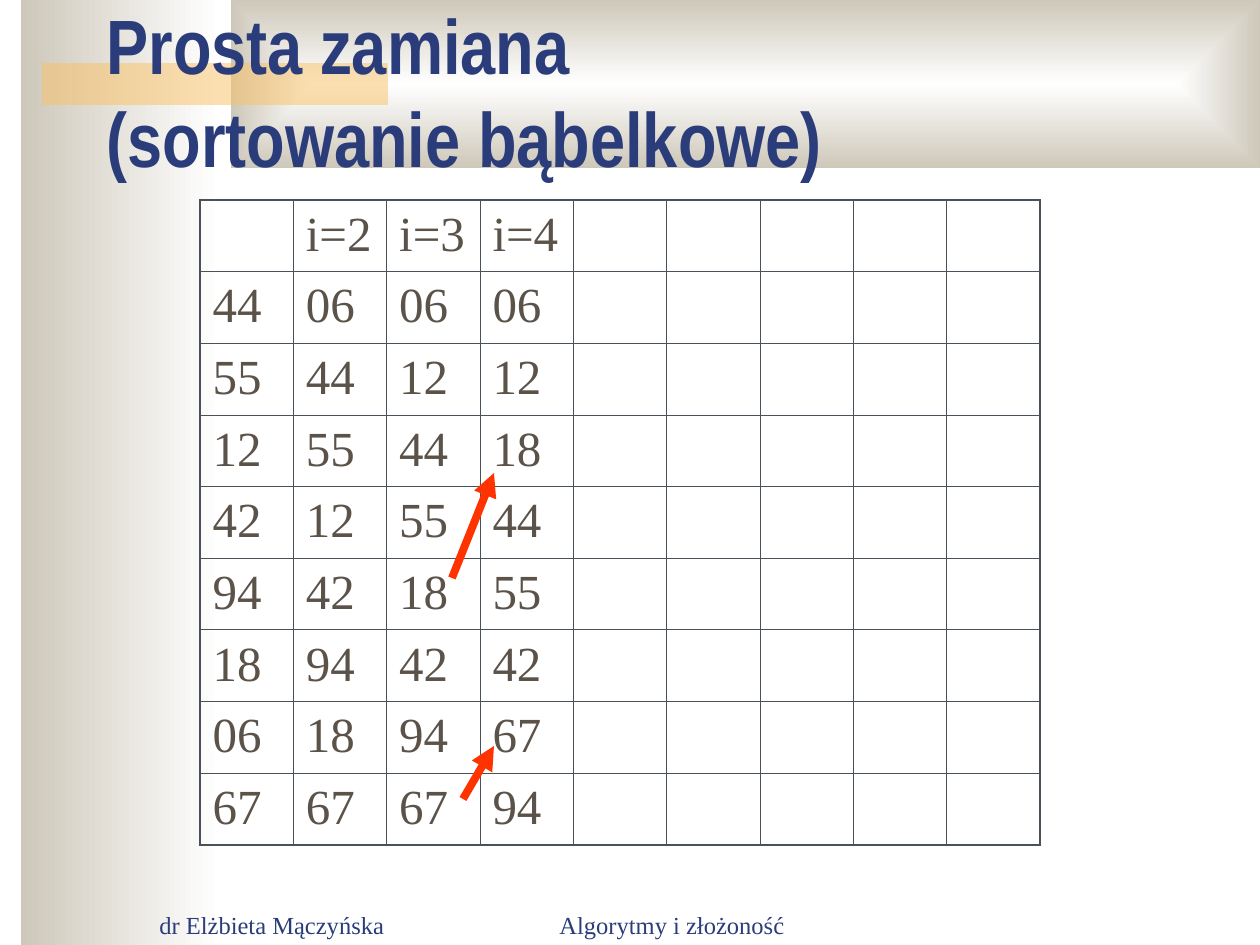
from lxml import etree
from pptx import Presentation
from pptx.dml.color import RGBColor
from pptx.enum.shapes import MSO_CONNECTOR as CONN, MSO_SHAPE as SHAPE
from pptx.enum.text import MSO_ANCHOR as ANCHOR, MSO_AUTO_SIZE as AUTO, PP_ALIGN as ALIGN
from pptx.oxml import parse_xml
from pptx.oxml.ns import nsdecls, qn
from pptx.util import Pt

SCALE = 914400 / 126
NAVY, BROWN, GRID, RED = "2A3D7A", "5B5249", "49525B", "FF3300"
WHITE, BEIGE, AMBER = "FFFFFF", "CEC8BA", "FAC164"
SERIF, NARROW = "Times New Roman", "Arial Narrow"

COLUMNS = [
    ["", "44", "55", "12", "42", "94", "18", "06", "67"],
    ["i=2", "06", "44", "55", "12", "42", "94", "18", "67"],
    ["i=3", "06", "12", "44", "55", "18", "42", "94", "67"],
    ["i=4", "06", "12", "18", "44", "55", "42", "67", "94"],
]
SIZE = 9


def px(*values):
    return [round(v * SCALE) for v in values]


def rgb(color):
    return RGBColor.from_string(color)


def add_run(p, text, size, font, color, bold=False):
    r = p.add_run()
    r.text = text
    r.font.size, r.font.name, r.font.bold = Pt(size), font, bold
    r.font.color.rgb = rgb(color)


def add_rect(s, box, color):
    sp = s.shapes.add_shape(SHAPE.RECTANGLE, *px(*box))
    sp.shadow.inherit = False
    sp.line.fill.background()
    sp.fill.solid()
    sp.fill.fore_color.rgb = rgb(color)
    return sp


def set_gradient(sp, direction):
    solid = sp._element.spPr.find(qn("a:solidFill"))
    solid.getparent().replace(solid, parse_xml(
        f'<a:gradFill {nsdecls("a")} rotWithShape="1"><a:gsLst>'
        f'<a:gs pos="0"><a:srgbClr val="{WHITE}"/></a:gs>'
        f'<a:gs pos="100000"><a:srgbClr val="{BEIGE}"/></a:gs>'
        f'</a:gsLst>{direction}</a:gradFill>'))


def add_background(s, x, y, w, h):
    side = add_rect(s, (x + 21, y, 199, h), BEIGE)
    set_gradient(side, '<a:lin ang="10800000" scaled="1"/>')
    top = add_rect(s, (x + 231, y, w - 231, 168), BEIGE)
    set_gradient(top, '<a:path path="rect"><a:fillToRect l="50000" t="50000" '
                      'r="50000" b="50000"/></a:path>')
    bar = add_rect(s, (x + 42, y + 63, 346, 42), AMBER)
    clr = bar._element.spPr.find(".//" + qn("a:srgbClr"))
    etree.SubElement(clr, qn("a:alpha"), val="50000")


def add_footer(s, box, text, align):
    tf = s.shapes.add_textbox(*px(*box)).text_frame
    tf.word_wrap = True
    tf.vertical_anchor = ANCHOR.BOTTOM
    p = tf.paragraphs[0]
    p.alignment = align
    add_run(p, text, 14, SERIF, NAVY)


def set_borders(cell, row, col):
    outer = {"L": col == 0, "R": col == SIZE - 1, "T": row == 0, "B": row == SIZE - 1}
    tcPr = cell._tc.get_or_add_tcPr()
    for side, is_outer in outer.items():
        width = Pt(1.08 if is_outer else 0.45)
        tcPr.append(parse_xml(
            f'<a:ln{side} {nsdecls("a")} w="{width}"><a:solidFill>'
            f'<a:srgbClr val="{GRID}"/></a:solidFill></a:ln{side}>'))


def add_sort_table(s, x, y, w, h):
    table = s.shapes.add_table(SIZE, SIZE, *px(x, y, w, h)).table
    table.first_row = table.horz_banding = False
    for row in range(SIZE):
        for col in range(SIZE):
            cell = table.cell(row, col)
            set_borders(cell, row, col)
            cell.fill.background()
            cell.vertical_anchor = ANCHOR.MIDDLE
            if col < len(COLUMNS) and COLUMNS[col][row]:
                p = cell.text_frame.paragraphs[0]
                p.line_spacing = 0.95
                add_run(p, COLUMNS[col][row], 28, SERIF, BROWN)
    add_arrow(s, x + 252, y + 378, x + 294, y + 273)
    add_arrow(s, x + 263, y + 599, x + 294, y + 546)


def add_arrow(s, x1, y1, x2, y2):
    line = s.shapes.add_connector(CONN.STRAIGHT, *px(x1, y1, x2, y2))
    line.line.color.rgb = rgb(RED)
    line.line.width = Pt(4.5)
    etree.SubElement(line.line._get_or_add_ln(), qn("a:tailEnd"), type="triangle")
    etree.SubElement(line._element.spPr, qn("a:effectLst"))


def add_title(s, box, lines):
    sp = s.shapes.title
    sp.left, sp.top, sp.width, sp.height = px(*box)
    s.shapes._spTree.append(sp._element)
    tf = sp.text_frame
    tf.word_wrap = True
    tf.auto_size = AUTO.NONE
    tf.vertical_anchor = ANCHOR.BOTTOM
    p = tf.paragraphs[0]
    p.alignment = ALIGN.LEFT
    for i, text in enumerate(lines):
        if i:
            p.add_line_break()
        add_run(p, text, 44, NARROW, NAVY, True)


def main():
    prs = Presentation()
    prs.slide_width, prs.slide_height = px(1260, 945)
    s = prs.slides.add_slide(prs.slide_layouts[5])
    add_background(s, 0, 0, 1260, 945)
    add_footer(s, (147, 883, 262, 63), "dr Elżbieta Mączyńska", ALIGN.LEFT)
    add_footer(s, (473, 883, 398, 63), "Algorytmy i złożoność", ALIGN.CENTER)
    add_sort_table(s, 200, 200, 840, 645)
    add_title(s, (94, -9, 1071, 198), ["Prosta zamiana", "(sortowanie bąbelkowe)"])
    prs.save("out.pptx")


if __name__ == "__main__":
    main()
